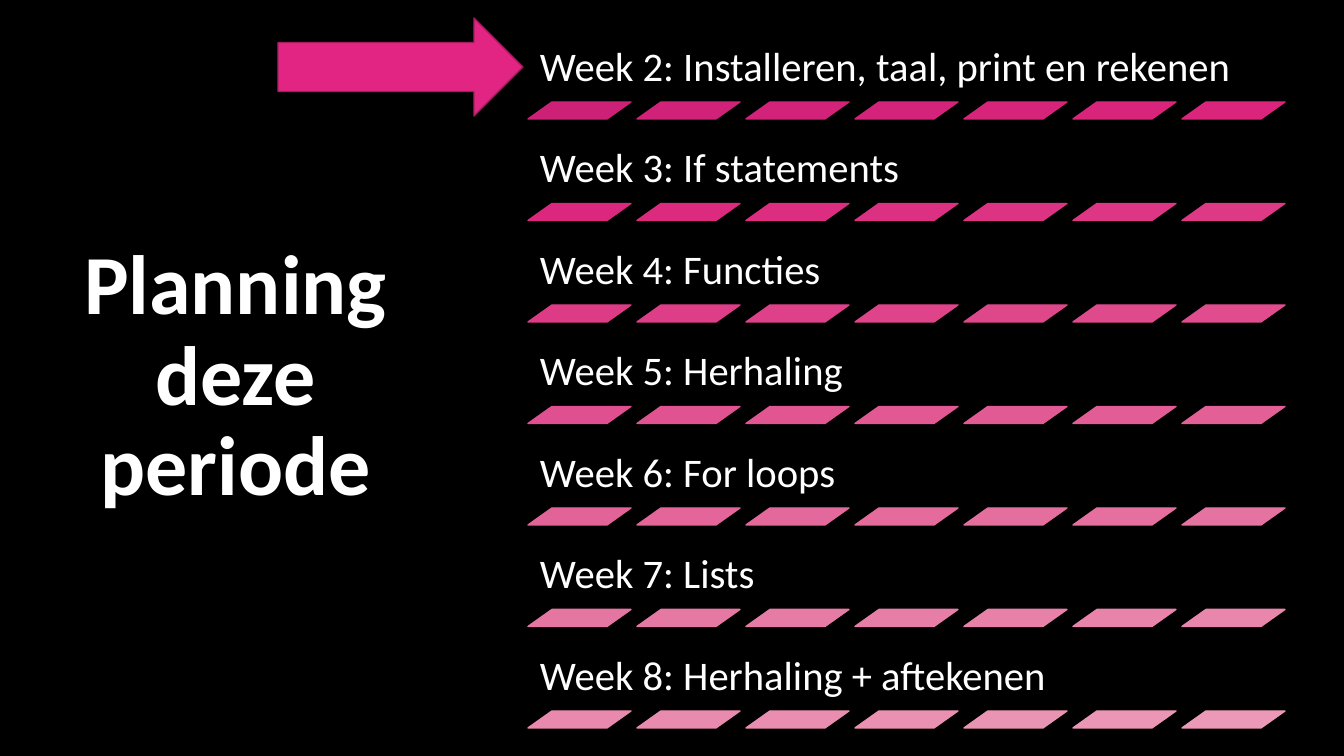
from pptx import Presentation
from pptx.dml.color import RGBColor
from pptx.enum.shapes import MSO_SHAPE
from pptx.enum.text import MSO_ANCHOR, MSO_AUTO_SIZE, PP_ALIGN
from pptx.util import Pt

PARALLELOGRAM = MSO_SHAPE.PARALLELOGRAM
RIGHT_ARROW = MSO_SHAPE.RIGHT_ARROW
MIDDLE = MSO_ANCHOR.MIDDLE
BOTTOM = MSO_ANCHOR.BOTTOM
NO_AUTOFIT = MSO_AUTO_SIZE.NONE
LEFT = PP_ALIGN.LEFT
CENTER = PP_ALIGN.CENTER

SLIDE_WIDTH, SLIDE_HEIGHT = 1344, 756
EMU_PER_PX = 12192000 / SLIDE_WIDTH

WEEKS = [
    "Week 2: Installeren, taal, print en rekenen",
    "Week 3: If statements",
    "Week 4: Functies",
    "Week 5: Herhaling",
    "Week 6: For loops",
    "Week 7: Lists",
    "Week 8: Herhaling + aftekenen",
]
BARS_PER_WEEK = 7
LIST_LEFT, LABEL_TOP, LABEL_WIDTH, LABEL_HEIGHT = 528, 31, 773, 71
BAR_WIDTH, BAR_HEIGHT, BAR_PITCH = 103, 17, 109
LIST_SPAN = 609
GRADIENT = [(0, "CD2177"), (6, "DB257D"), (27, "E26096"), (48, "EB99B6")]


def px(*lengths):
    return [round(length * EMU_PER_PX) for length in lengths]


def color(hex_string):
    return RGBColor.from_string(hex_string)


presentation = Presentation()
presentation.slide_width, presentation.slide_height = px(SLIDE_WIDTH, SLIDE_HEIGHT)
slide = presentation.slides.add_slide(presentation.slide_layouts[5])
slide.background.fill.solid()
slide.background.fill.fore_color.rgb = color("000000")

title = slide.shapes.title
title.left, title.top, title.width, title.height = px(70, 222, 331, 312)
title.text_frame.text = "Planning deze periode"
texts = [(title, MIDDLE, CENTER, 60, True)]

bar_colors = []
for (start, start_hex), (end, end_hex) in zip(GRADIENT, GRADIENT[1:]):
    for step in range(start, end):
        share = (step - start) / (end - start)
        channels = [
            round(a + (b - a) * share)
            for a, b in zip(bytes.fromhex(start_hex), bytes.fromhex(end_hex))
        ]
        bar_colors.append(bytes(channels).hex().upper())
bar_colors.append(GRADIENT[-1][1])

filled = []
for row, week in enumerate(WEEKS):
    label_top = LABEL_TOP + row * LIST_SPAN / (len(WEEKS) - 1)
    label = slide.shapes.add_textbox(*px(LIST_LEFT, label_top, LABEL_WIDTH, LABEL_HEIGHT))
    frame = label.text_frame
    frame.text = week
    frame.margin_left, frame.margin_top, frame.margin_right, frame.margin_bottom = px(12, 12, 12, 12)
    texts.append((label, BOTTOM, LEFT, 29, False))

    for column in range(BARS_PER_WEEK):
        bar = slide.shapes.add_shape(
            PARALLELOGRAM,
            *px(LIST_LEFT + column * BAR_PITCH, label_top + LABEL_HEIGHT, BAR_WIDTH, BAR_HEIGHT),
        )
        bar.adjustments[0] = 1.41
        bar_color = bar_colors[row * BARS_PER_WEEK + column]
        filled.append((bar, bar_color, bar_color))

arrow = slide.shapes.add_shape(RIGHT_ARROW, *px(278, 18, 245, 98))
filled.append((arrow, "E22483", "A71B61"))

for shape, fill_color, line_color in filled:
    shape.shadow.inherit = False
    shape.fill.solid()
    shape.fill.fore_color.rgb = color(fill_color)
    shape.line.color.rgb = color(line_color)
    shape.line.width = Pt(1)

for shape, anchor, alignment, size, bold in texts:
    frame = shape.text_frame
    frame.word_wrap = True
    frame.auto_size = NO_AUTOFIT
    frame.vertical_anchor = anchor
    paragraph = frame.paragraphs[0]
    paragraph.alignment = alignment
    paragraph.line_spacing = 0.9
    font = paragraph.runs[0].font
    font.name = "Calibri"
    font.size = Pt(size)
    font.bold = bold
    font.color.rgb = color("FFFFFF")

presentation.save("out.pptx")
